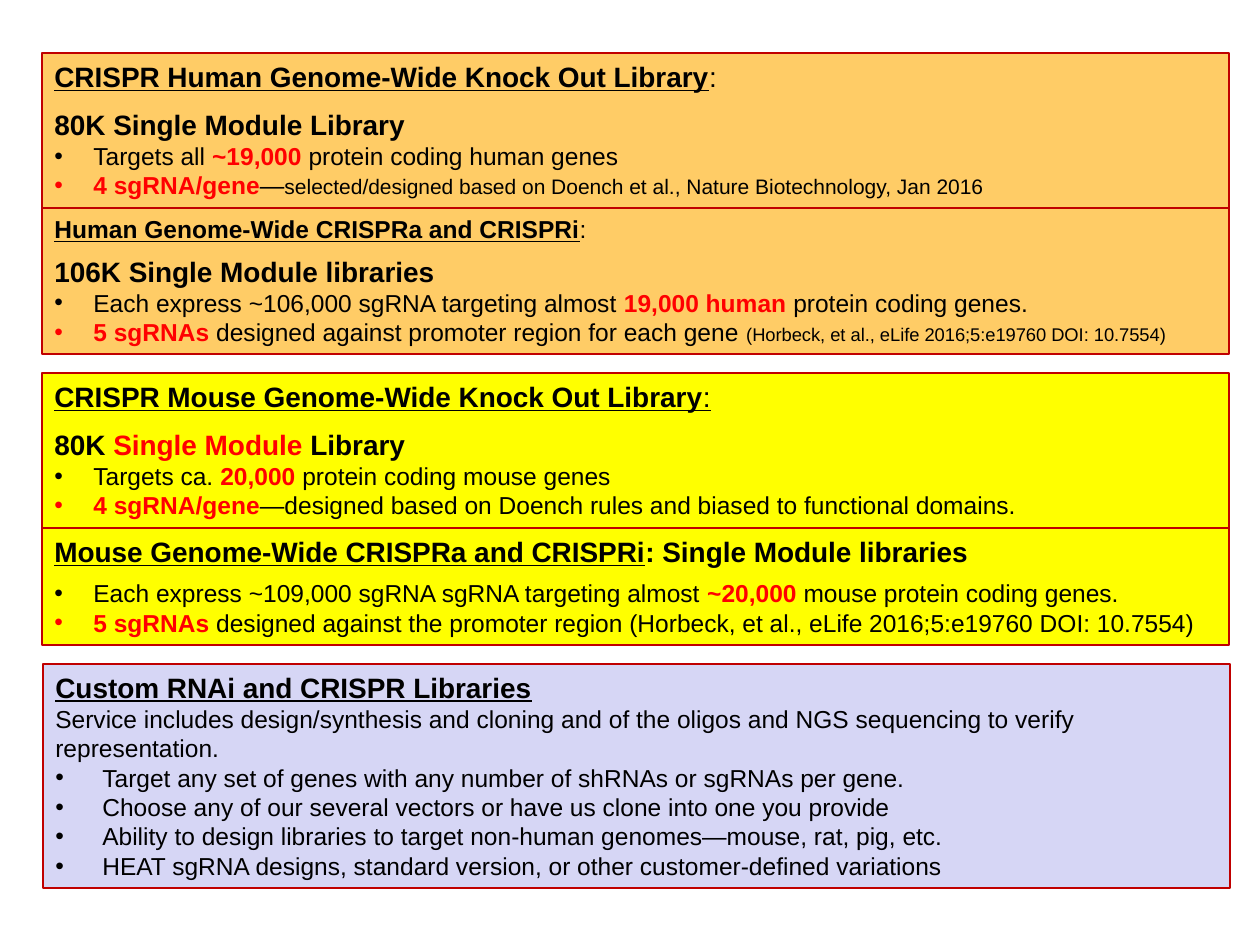
from dataclasses import dataclass
from typing import NamedTuple

from lxml import etree
from pptx import Presentation, util as u
from pptx.dml.color import RGBColor
from pptx.enum import shapes, text
from pptx.oxml.ns import qn

PX = 914400 / 126


@dataclass(frozen=True)
class Theme:
    font: str = "Arial"
    ink: str = "000000"
    accent: str = "FF0000"
    border: str = "C00000"
    human: str = "FFCC66"
    mouse: str = "FFFF00"
    custom: str = "D6D6F5"
    heading: float = 16
    body: float = 14
    note: float = 12
    citation: float = 10.5


THEME = Theme()


class Run(NamedTuple):
    text: str
    size: float = THEME.body
    color: str = THEME.ink
    bold: bool = False
    underline: bool = False


class Line(NamedTuple):
    runs: list[Run]
    indent: int = 0  # hanging indent of a bulleted line, px
    before: float = 0
    after: float = 0


class Panel(NamedTuple):
    left: int
    top: int
    height: int
    fill: str
    lines: list[Line]


def px(value: float) -> int:
    return round(value * PX)


def title(words: str, size: float = THEME.heading) -> Run:
    return Run(words, size, bold=True, underline=True)


def strong(words: str, color: str = THEME.ink) -> Run:
    return Run(words, THEME.heading, color, bold=True)


def key(words: str) -> Run:
    return Run(words, color=THEME.accent, bold=True)


def bullet(*runs: Run, indent: int = 39) -> Line:
    return Line(list(runs), indent)


def add_text(paragraph, words: str, *, size: float, color: str,
             bold: bool, underline: bool) -> None:
    run = paragraph.add_run()
    run.text = words
    font = run.font
    font.name, font.size = THEME.font, u.Pt(size)
    font.bold, font.underline = bold, underline
    font.color.rgb = RGBColor.from_string(color)


def add_line(paragraph, line: Line) -> None:
    paragraph.alignment = text.PP_ALIGN.LEFT
    paragraph.space_before = u.Pt(line.before)
    paragraph.space_after = u.Pt(line.after)
    if line.indent:
        properties = paragraph._p.get_or_add_pPr()
        properties.set("marL", str(px(line.indent)))
        properties.set("indent", str(-px(line.indent)))
        etree.SubElement(properties, qn("a:buFont")).set("typeface", THEME.font)
        etree.SubElement(properties, qn("a:buChar")).set("char", "•")
    for run in line.runs:
        add_text(paragraph, run.text, size=run.size, color=run.color,
                 bold=run.bold, underline=run.underline)


def add_panel(slide, panel: Panel) -> None:
    shape = slide.shapes.add_shape(
        shapes.MSO_SHAPE.RECTANGLE, px(panel.left), px(panel.top),
        px(1187), px(panel.height))
    shape.shadow.inherit = False
    shape.fill.solid()
    shape.fill.fore_color.rgb = RGBColor.from_string(panel.fill)
    shape.line.color.rgb = RGBColor.from_string(THEME.border)
    shape.line.width = u.Pt(0.75)
    frame = shape.text_frame
    frame.word_wrap = True
    frame.auto_size = text.MSO_AUTO_SIZE.SHAPE_TO_FIT_TEXT
    frame.vertical_anchor = text.MSO_ANCHOR.TOP
    for index, line in enumerate(panel.lines):
        add_line(frame.add_paragraph() if index else frame.paragraphs[0], line)


PANELS = [
    # Knock out libraries
    Panel(42, 53, 155, THEME.human, [
        Line([title("CRISPR Human Genome-Wide Knock Out Library"),
              Run(":", THEME.heading)]),
        Line([strong("80K Single Module Library")], before=8.4),
        bullet(Run("Targets all "), key("~19,000 "),
               Run("protein coding human genes")),
        bullet(key("4 sgRNA/gene"), Run("—"),
               Run("selected/designed based on Doench et al., "
                   "Nature Biotechnology, Jan 2016", THEME.note)),
    ]),
    Panel(42, 373, 155, THEME.mouse, [
        Line([title("CRISPR Mouse Genome-Wide Knock Out Library"),
              Run(":", THEME.heading, underline=True)]),
        Line([strong("80K "), strong("Single Module ", THEME.accent),
              strong("Library")], before=8.4),
        bullet(Run("Targets ca. "), key("20,000"),
               Run(" protein coding mouse genes")),
        bullet(key("4 sgRNA/gene"),
               Run("—designed based on Doench rules and biased to "
                   "functional domains.")),
    ]),
    # CRISPRa and CRISPRi libraries
    Panel(42, 208, 146, THEME.human, [
        Line([title("Human Genome-Wide CRISPRa and CRISPRi", THEME.body),
              Run(":")]),
        Line([strong("106K Single Module libraries")], before=6),
        bullet(Run("Each express ~106,000 sgRNA targeting almost "),
               key("19,000 human "), Run("protein coding genes.")),
        bullet(key("5 sgRNAs "),
               Run("designed against promoter region for each gene "),
               Run("(Horbeck, et al., eLife 2016;5:e19760 DOI: 10.7554)",
                   THEME.citation)),
    ]),
    Panel(42, 528, 117, THEME.mouse, [
        Line([title("Mouse Genome-Wide CRISPRa and CRISPRi"),
              strong(": Single Module libraries")], after=6),
        bullet(Run("Each express ~109,000 sgRNA sgRNA targeting almost "),
               key("~20,000"), Run(" mouse protein coding genes.")),
        bullet(key("5 sgRNAs "),
               Run("designed against the promoter region (Horbeck, et al., "
                   "eLife 2016;5:e19760 DOI: 10.7554)")),
    ]),
    # Custom service
    Panel(43, 664, 224, THEME.custom, [
        Line([title("Custom RNAi and CRISPR Libraries")]),
        Line([Run("Service includes design/synthesis and cloning and of the "
                  "oligos and NGS sequencing to verify representation.")]),
        *(bullet(Run(words), indent=47) for words in (
            "Target any set of genes with any number of shRNAs or sgRNAs per gene.",
            "Choose any of our several vectors or have us clone into one you provide",
            "Ability to design libraries to target non-human genomes—mouse, rat, pig, etc.",
            "HEAT sgRNA designs, standard version, or other customer-defined variations",
        )),
    ]),
]


def main() -> None:
    presentation = Presentation()
    presentation.slide_width, presentation.slide_height = px(1260), px(945)
    slide = presentation.slides.add_slide(presentation.slide_layouts[6])
    for panel in PANELS:
        add_panel(slide, panel)
    presentation.save("out.pptx")


if __name__ == "__main__":
    main()
